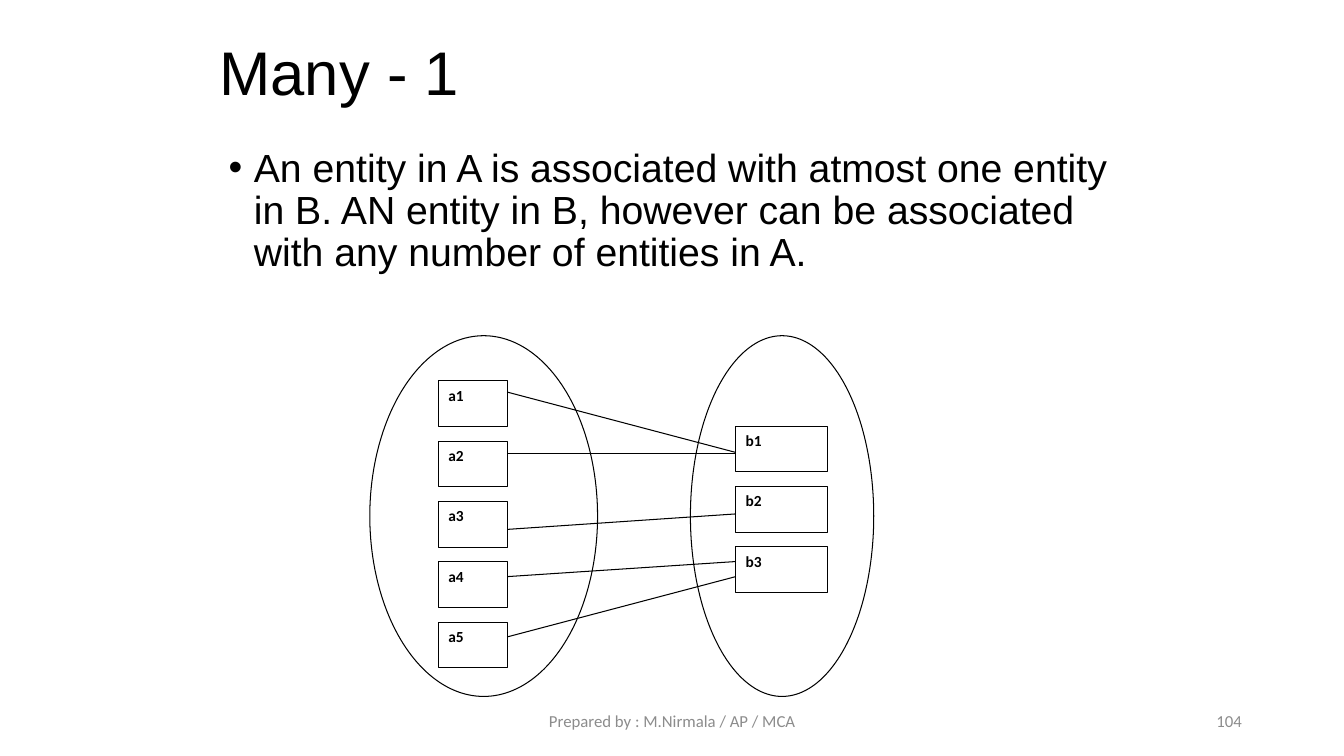
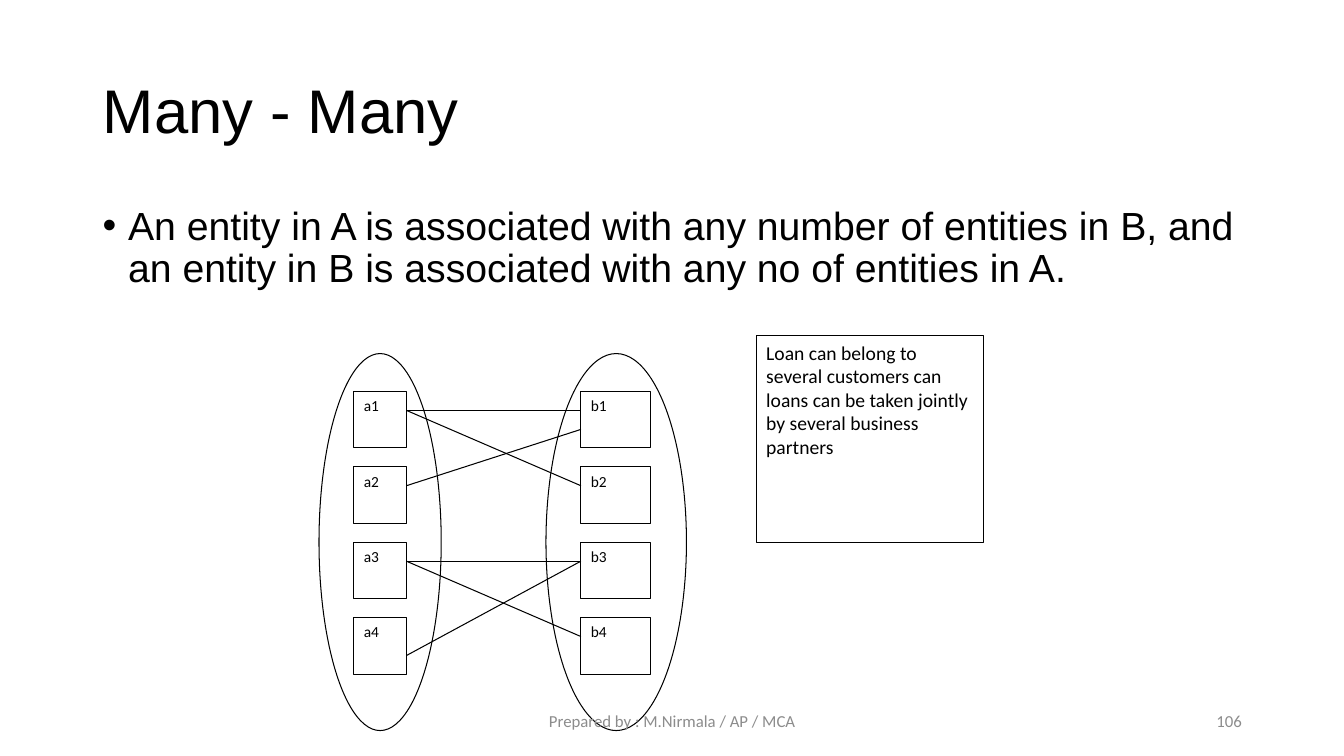
from lxml import etree
from pptx import Presentation
from pptx.dml.color import RGBColor
from pptx.enum.shapes import MSO_CONNECTOR as Connector, MSO_SHAPE as Shape
from pptx.enum.text import MSO_ANCHOR as Anchor, PP_ALIGN as Align
from pptx.oxml.ns import qn
from pptx.util import Cm, Pt

# Shared look
BLACK, WHITE, GREY = "000000", "FFFFFF", "8C8C8C"
HEADING = dict(font="Arial", size=44, line_spacing=0.9, anchor=Anchor.MIDDLE)
BODY = dict(font="Arial", size=28, line_spacing=0.9, before=10, bullet=True)
FOOTER = dict(size=12, color=GREY, anchor=Anchor.MIDDLE)
FOOTER_TEXT = "Prepared by : M.Nirmala / AP / MCA"
FOOTER_AREA = (11.23, 17.65, 11.43, 1.02)
NUMBER_AREA = (23.93, 17.65, 7.62, 1.02)

# Content; areas are left, top, width, height in centimetres.
# A link is: box in A, distance below its top, box in B, distance below its top.
SLIDES = [
    dict(
        title="Many - 1", title_area=(5.28, 0.84, 22.86, 2.11),
        body="An entity in A is associated with atmost one entity in B. "
             "AN entity in B, however can be associated with any number of entities in A.",
        body_area=(5.51, 3.61, 22.86, 4.01),
        number="104", bold=True, box_height=1.15, pitch=1.52,
        sets=[
            dict(oval=(9.32, 8.46, 5.74, 9.09), left=11.05, top=9.6, width=1.73,
                 names=["a1", "a2", "a3", "a4", "a5"]),
            dict(oval=(17.4, 8.46, 4.62, 9.09), left=18.54, top=10.74, width=2.31,
                 names=["b1", "b2", "b3"]),
        ],
        links=[("a1", 0.28, "b1", 0.66), ("a2", 0.31, "b1", 0.69), ("a3", 0.7, "b2", 0.69),
               ("a4", 0.37, "b3", 0.37), ("a5", 0.37, "b3", 0.75)],
    ),
    dict(
        title="Many - Many", title_area=(2.34, 1.02, 29.21, 3.68),
        body="An entity in A is associated with any number of entities in B, "
             "and an entity in B is associated with any no of entities in A.",
        body_area=(2.34, 5.08, 29.21, 12.09),
        number="106", bold=False, box_height=1.43, pitch=1.9,
        sets=[
            dict(oval=(8.04, 8.91, 3.08, 9.5), left=8.92, top=9.86, width=1.32,
                 names=["a1", "a2", "a3", "a4"]),
            dict(oval=(13.76, 8.91, 3.54, 9.5), left=14.64, top=9.86, width=1.75,
                 names=["b1", "b2", "b3", "b4"]),
        ],
        links=[("a1", 0.48, "b1", 0.48), ("a1", 0.48, "b2", 0.48), ("a2", 0.48, "b1", 0.96),
               ("a3", 0.48, "b3", 0.48), ("a3", 0.48, "b4", 0.48), ("a4", 0.96, "b3", 0.48)],
        note="Loan can belong to several customers can loans can be taken jointly "
             "by several business partners",
        note_area=(19.06, 8.46, 5.73, 5.22),
    ),
]


def rgb(value):
    return RGBColor.from_string(value)


def write(shape, text, font="Calibri", size=11, color=BLACK, bold=False, align=Align.LEFT,
          anchor=Anchor.TOP, line_spacing=1.0, before=0, after=0, bullet=False):
    frame = shape.text_frame
    frame.word_wrap = True
    frame.vertical_anchor = anchor
    paragraph = frame.paragraphs[0]
    paragraph.alignment = align
    paragraph.line_spacing = line_spacing
    paragraph.space_before, paragraph.space_after = Pt(before), Pt(after)
    run = paragraph.add_run()
    run.text = text
    run.font.name, run.font.size, run.font.bold = font, Pt(size), bold
    run.font.color.rgb = rgb(color)
    if bullet:
        properties = paragraph._p.get_or_add_pPr()
        indent = Cm(0.64)
        properties.set("marL", str(indent))
        properties.set("indent", str(-indent))
        etree.SubElement(properties, qn("a:buFont")).set("typeface", "Arial")
        etree.SubElement(properties, qn("a:buChar")).set("char", "•")


def add_text(slide, area, text, **style):
    write(slide.shapes.add_textbox(*map(Cm, area)), text, **style)


def add_outline(slide, kind, area):
    shape = slide.shapes.add_shape(kind, *map(Cm, area))
    shape.shadow.inherit = False
    shape.fill.solid()
    shape.fill.fore_color.rgb = rgb(WHITE)
    shape.line.color.rgb = rgb(BLACK)
    shape.line.width = Pt(0.75)
    return shape


def add_line(slide, *ends):
    line = slide.shapes.add_connector(Connector.STRAIGHT, *map(Cm, ends))
    line.line.color.rgb = rgb(BLACK)
    line.line.width = Pt(0.75)
    etree.SubElement(line._element.spPr, qn("a:effectLst"))


def add_mapping(slide, content):
    # Ovals with their stacked entity boxes
    places = {}
    for group in content["sets"]:
        add_outline(slide, Shape.OVAL, group["oval"])
        for row, name in enumerate(group["names"]):
            area = (group["left"], group["top"] + row * content["pitch"],
                    group["width"], content["box_height"])
            places[name] = area
            write(add_outline(slide, Shape.RECTANGLE, area), name,
                  bold=content["bold"], after=10)
    # Links from the right side of A to the left side of B
    for start, start_drop, end, end_drop in content["links"]:
        left, top, width, _ = places[start]
        end_left, end_top, _, _ = places[end]
        add_line(slide, left + width, top + start_drop, end_left, end_top + end_drop)


def main():
    presentation = Presentation()
    presentation.slide_width, presentation.slide_height = Cm(33.87), Cm(19.05)
    for content in SLIDES:
        slide = presentation.slides.add_slide(presentation.slide_layouts[6])
        add_text(slide, content["title_area"], content["title"], **HEADING)
        add_text(slide, content["body_area"], content["body"], **BODY)
        add_mapping(slide, content)
        if "note" in content:
            write(add_outline(slide, Shape.RECTANGLE, content["note_area"]),
                  content["note"], size=14, after=10)
        add_text(slide, NUMBER_AREA, content["number"], align=Align.RIGHT, **FOOTER)
        add_text(slide, FOOTER_AREA, FOOTER_TEXT, align=Align.CENTER, **FOOTER)
    presentation.save("out.pptx")


if __name__ == "__main__":
    main()
